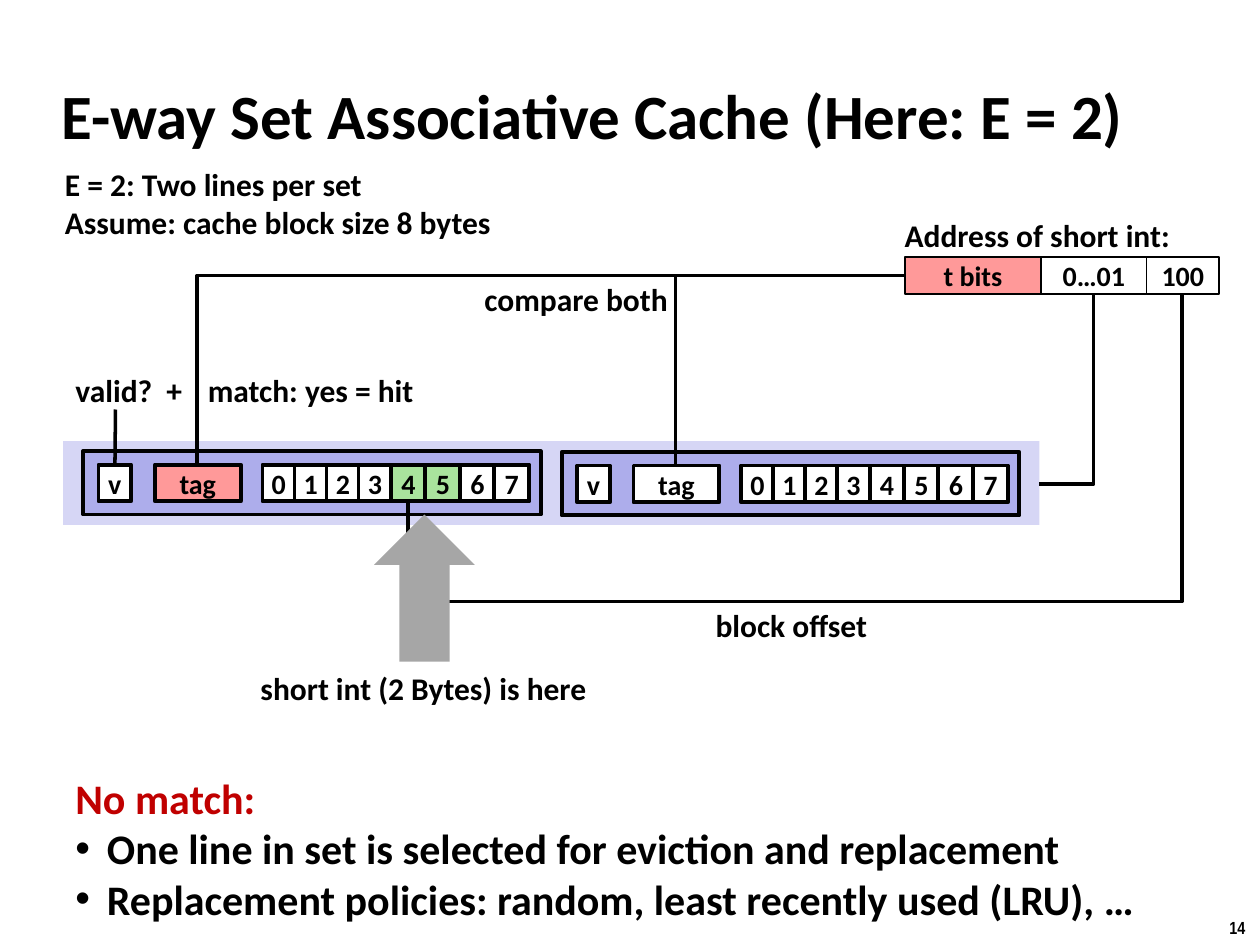
from dataclasses import dataclass

from lxml.etree import SubElement
from pptx import Presentation
from pptx.dml.color import RGBColor
from pptx.enum.shapes import MSO_CONNECTOR, MSO_SHAPE
from pptx.enum.text import MSO_ANCHOR, PP_ALIGN
from pptx.oxml.ns import qn
from pptx.util import Pt


@dataclass(frozen=True)
class Theme:
    font: str = "Calibri"
    number_font: str = "Arial Narrow"
    black: str = "000000"
    white: str = "FFFFFF"
    red: str = "C00000"
    tag: str = "FF9999"
    hit: str = "A9E39D"
    cache_set: str = "D6D6F5"
    cache_line: str = "ADADEB"
    arrow: str = "A6A6A6"
    title: int = 36
    body: int = 24
    label: int = 18
    cell: int = 16
    number: int = 10
    thin: float = 1
    wire: float = 2
    border: float = 2.25


THEME = Theme()


def style_font(font, **changes):
    values = {"name": THEME.font, "size": THEME.label, "bold": True, "color": THEME.black}
    values.update(changes)
    font.color.rgb = RGBColor.from_string(values.pop("color"))
    values["size"] = Pt(values["size"])
    for name, value in values.items():
        setattr(font, name, value)


def add_bullet(para):
    properties = para._p.get_or_add_pPr()
    properties.set("marL", str(Pt(18)))
    properties.set("indent", str(-Pt(18)))
    SubElement(properties, qn("a:buFont"), typeface="Arial")
    SubElement(properties, qn("a:buChar"), char="•")


def add_label(page, box, *lines, anchor=MSO_ANCHOR.TOP, **font):
    frame = page.shapes.add_textbox(*map(Pt, box)).text_frame
    frame.word_wrap = False
    frame.vertical_anchor = anchor
    for index, line in enumerate(lines):
        para = frame.paragraphs[0] if index == 0 else frame.add_paragraph()
        span = para.add_run()
        span.text = line
        style_font(span.font, **font)
    return frame


def add_block(page, box, fill, text="", border=None, kind=MSO_SHAPE.RECTANGLE):
    block = page.shapes.add_shape(kind, *map(Pt, box))
    block.shadow.inherit = False
    block.fill.solid()
    block.fill.fore_color.rgb = RGBColor.from_string(fill)
    if border:
        block.line.color.rgb = RGBColor.from_string(THEME.black)
        block.line.width = Pt(border)
    else:
        block.line.fill.background()
    if text:
        frame = block.text_frame
        frame.word_wrap = False
        frame.vertical_anchor = MSO_ANCHOR.MIDDLE
        para = frame.paragraphs[0]
        para.alignment = PP_ALIGN.CENTER
        span = para.add_run()
        span.text = text
        style_font(span.font, size=THEME.cell)


def add_wire(page, start, end, kind=MSO_CONNECTOR.STRAIGHT):
    wire = page.shapes.add_connector(kind, *map(Pt, (*start, *end)))
    wire.line.color.rgb = RGBColor.from_string(THEME.black)
    wire.line.width = Pt(THEME.wire)
    SubElement(wire._element.spPr, qn("a:effectLst"))
    return wire


def add_corner_wire(page, start, end):
    """Runs across from start, then turns once to reach end."""
    wire = add_wire(page, start, end, MSO_CONNECTOR.ELBOW)
    wire._element.spPr.find(qn("a:prstGeom")).set("prst", "bentConnector2")


def add_under_wire(page, start, end, low):
    """Runs down from start to the height low, across to the left, then up to end."""
    drop, reach = end[1] - start[1], start[0] - end[0]
    middle_x, middle_y = (start[0] + end[0]) / 2, (start[1] + end[1]) / 2
    left, top = middle_x - drop / 2, middle_y - reach / 2
    wire = add_wire(page, (left, top), (left + drop, top + reach), MSO_CONNECTOR.ELBOW)
    properties = wire._element.spPr
    properties.find(qn("a:xfrm")).set("rot", str(90 * 60000))
    guides = properties.find(qn("a:prstGeom")).get_or_add_avLst()
    ratio = round((low - start[1]) / drop * 100000)
    SubElement(guides, qn("a:gd"), name="adj1", fmla=f"val {ratio}")


def add_address(page, box):
    left, top, _, height = box
    for text, width, fill in (
        ("t bits", 78, THEME.tag),
        ("0…01", 60.2, THEME.white),
        ("100", 41.3, THEME.white),
    ):
        add_block(page, (left, top, width, height), fill, text, THEME.thin)
        left += width
    add_label(page, (box[0] - 7.2, top - 26.7, 168, 29), "Address of short int:")


def add_cache_line(page, box, tag_fill=THEME.white, hit_bytes=()):
    left, top, _, height = box
    add_block(page, box, THEME.cache_line, border=THEME.border)
    cells = [("v", 8.8, 18.7, THEME.white), ("tag", 41, 49, tag_fill)]
    for byte in range(8):
        narrow = byte < 4
        offset = 102.5 + 18.3 * byte if narrow else 175.9 + 19.7 * (byte - 4)
        fill = THEME.hit if byte in hit_bytes else THEME.white
        cells.append((str(byte), offset, 18.7 if narrow else 20, fill))
    for text, offset, width, fill in cells:
        cell_box = (left + offset, top + 7.7, width, height - 15.2)
        add_block(page, cell_box, fill, text, THEME.border)


def add_cache_set(page, box):
    left, top, _, _ = box
    add_block(page, box, THEME.cache_set)
    add_cache_line(page, (left + 11.5, top + 5.8, 261.5, 36.2), THEME.tag, (4, 5))
    add_cache_line(page, (left + 285, top + 6.3, 261.5, 36.2))


def add_lookup(page, address, cache_set):
    """Wires from the address fields to the set, with their captions."""
    left, top, _, height = address
    bottom = top + height
    cell_top = cache_set[1] + 13.6
    add_corner_wire(page, (cache_set[0] + cache_set[2], 276.5), (625, bottom))
    for tag_x in (386.2, 112.6):
        add_corner_wire(page, (left, top + height / 2), (tag_x, cell_top))
    add_label(page, (269.7, 156.5, 120, 29), "compare both")
    add_wire(page, (66, 234), (65.7, cell_top))
    add_label(page, (36, 208.4, 80.6, 29), "valid?  +")
    add_label(page, (111.7, 208.4, 133, 29), "match: yes = hit")
    add_under_wire(page, (675.3, bottom), (233.1, 286.6), 343.8)
    add_label(page, (401.8, 343, 102, 29), "block offset")
    add_block(page, (213.8, 294, 57.6, 84), THEME.arrow, kind=MSO_SHAPE.UP_ARROW)
    add_label(page, (141.8, 378.8, 202, 29), "short int (2 Bytes) is here")


def add_miss_note(page, box):
    frame = add_label(
        page,
        box,
        "No match:",
        "One line in set is selected for eviction and replacement",
        "Replacement policies: random, least recently used (LRU), …",
        size=THEME.body,
    )
    heading, *points = frame.paragraphs
    style_font(heading.runs[0].font, size=THEME.body, color=THEME.red)
    for para in points:
        add_bullet(para)


def main():
    deck = Presentation()
    deck.slide_width, deck.slide_height = Pt(720), Pt(540)
    page = deck.slides.add_slide(deck.slide_layouts[6])
    address = (517, 146.8, 179.5, 21.3)
    cache_set = (36, 252, 558, 48)

    add_label(page, (695.5, 520.5, 24.5, 19.5), "14",
              name=THEME.number_font, size=THEME.number)
    add_label(page, (28.2, 35.3, 649.5, 60), "E-way Set Associative Cache (Here: E = 2)",
              anchor=MSO_ANCHOR.MIDDLE, size=THEME.title)
    add_label(page, (30, 90.7, 260, 51),
              "E = 2: Two lines per set", "Assume: cache block size 8 bytes")
    add_address(page, address)
    add_cache_set(page, cache_set)
    add_lookup(page, address, cache_set)
    add_miss_note(page, (36, 437.8, 628.5, 94.3))
    deck.save("out.pptx")


if __name__ == "__main__":
    main()
